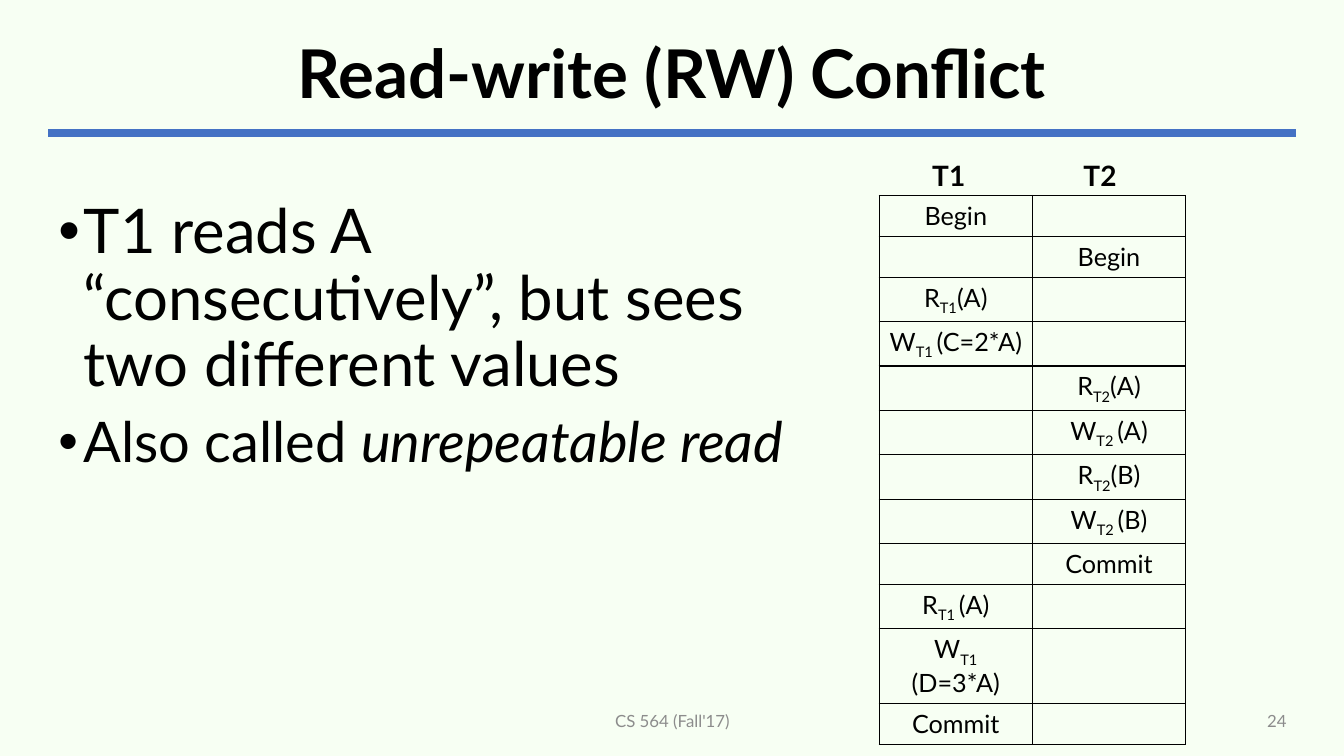
from dataclasses import dataclass

from lxml import etree
from pptx import Presentation
from pptx.dml.color import RGBColor
from pptx.enum.shapes import MSO_CONNECTOR
from pptx.enum.text import MSO_ANCHOR, MSO_AUTO_SIZE, PP_ALIGN
from pptx.oxml.ns import qn
from pptx.util import Inches, Pt

LEFT, CENTER, RIGHT = PP_ALIGN.LEFT, PP_ALIGN.CENTER, PP_ALIGN.RIGHT
TOP, MIDDLE = MSO_ANCHOR.TOP, MSO_ANCHOR.MIDDLE
NO_FIT = MSO_AUTO_SIZE.NONE
STRAIGHT = MSO_CONNECTOR.STRAIGHT


@dataclass(frozen=True)
class Theme:
    font: str = "Lato"
    background: str = "F7FFF3"
    text: str = "000000"
    muted: str = "8C8C8C"
    rule: str = "4472C4"
    title_size: int = 48
    lead_size: int = 44
    point_size: int = 40
    head_size: int = 20
    cell_size: int = 18
    footer_size: int = 12


THEME = Theme()

POINTS = [
    (THEME.lead_size, [("T1 reads A “consecutively”, but sees two different values", False)]),
    (THEME.point_size, [("Also called ", False), ("unrepeatable read", True)]),
]
TRANSACTIONS = ["T1", "T2"]
# Each step: transaction column, then text, subscript and argument
SCHEDULE = [
    (0, ["Begin"]),
    (1, ["Begin"]),
    (0, ["R", "T1", "(A)"]),
    (0, ["W", "T1 ", "(C=2*A)"]),
    (1, ["R", "T2", "(A)"]),
    (1, ["W", "T2 ", "(A)"]),
    (1, ["R", "T2", "(B)"]),
    (1, ["W", "T2 ", "(B)"]),
    (1, ["Commit"]),
    (0, ["R", "T1 ", "(A)"]),
    (0, ["W", "T1 ", "(D=3*A)"]),
    (0, ["Commit"]),
]
PLAIN_ROW, SUBSCRIPT_ROW, WRAPPED_ROW = 0.4, 0.44, 0.74
WRAPPED_STEP = 10


def add_text(paragraph, text, size, color=THEME.text, bold=False, italic=False, subscript=False):
    run = paragraph.add_run()
    run.text = text
    font = run.font
    font.name, font.size = THEME.font, Pt(size)
    font.bold, font.italic = bold, italic
    font.color.rgb = RGBColor.from_string(color)
    if subscript:
        run._r.get_or_add_rPr().set("baseline", "-25000")


def place(shape, box):
    shape.left, shape.top, shape.width, shape.height = map(Inches, box)


def prepare_frame(shape, anchor=TOP):
    frame = shape.text_frame
    frame.word_wrap = True
    frame.auto_size = NO_FIT
    frame.vertical_anchor = anchor
    return frame


def add_label(slide, box, text, size, align=CENTER, anchor=TOP, spacing=None, **text_format):
    label = slide.shapes.add_textbox(*map(Inches, box))
    paragraph = prepare_frame(label, anchor).paragraphs[0]
    paragraph.alignment = align
    if spacing:
        paragraph.line_spacing = spacing
    add_text(paragraph, text, size, **text_format)


def add_bullet(paragraph, indent):
    properties = paragraph._p.get_or_add_pPr()
    properties.set("marL", str(Inches(indent)))
    properties.set("indent", str(-Inches(indent)))
    etree.SubElement(properties, qn("a:buFont"), typeface="Arial")
    etree.SubElement(properties, qn("a:buChar"), char="•")


def add_borders(cell, color):
    properties = cell._tc.get_or_add_tcPr()
    for position, side in enumerate(("a:lnL", "a:lnR", "a:lnT", "a:lnB")):
        line = etree.Element(qn(side), w=str(Pt(1)))
        fill = etree.SubElement(line, qn("a:solidFill"))
        etree.SubElement(fill, qn("a:srgbClr"), val=color)
        properties.insert(position, line)


def build_header(slide, box):
    left, top, width, height = box
    title = slide.shapes.title
    place(title, box)
    paragraph = prepare_frame(title, MIDDLE).paragraphs[0]
    paragraph.alignment = CENTER
    paragraph.line_spacing = 0.9
    add_text(paragraph, "Read-write (RW) Conflict", THEME.title_size, bold=True)

    # Rule under the title
    rule_top = Inches(top + height + 0.04)
    rule = slide.shapes.add_connector(
        STRAIGHT, Inches(left), rule_top, Inches(left + width), rule_top)
    rule.line.color.rgb = RGBColor.from_string(THEME.rule)
    rule.line.width = Pt(6)
    etree.SubElement(rule._element.spPr, qn("a:effectLst"))


def build_points(slide, box):
    body = slide.placeholders[1]
    place(body, box)
    frame = prepare_frame(body)
    for index, (size, runs) in enumerate(POINTS):
        paragraph = frame.add_paragraph() if index else frame.paragraphs[0]
        add_bullet(paragraph, 0.25)
        paragraph.alignment = LEFT
        paragraph.line_spacing = 0.9
        paragraph.space_before = Pt(10 if index else 0)
        for text, italic in runs:
            add_text(paragraph, text, size, italic=italic)


def row_height(index, parts):
    if index == WRAPPED_STEP:
        return WRAPPED_ROW
    return SUBSCRIPT_ROW if len(parts) > 1 else PLAIN_ROW


def build_schedule(slide, left, top, width):
    # Column headings
    column_width = width / len(TRANSACTIONS)
    for column, name in enumerate(TRANSACTIONS):
        add_label(slide, (left + 0.25 + column * 1.5, top - 0.67, 0.88, 0.67), name,
                  THEME.head_size, spacing=Pt(42), bold=True)

    # Steps of both transactions
    heights = [row_height(index, parts) for index, (_, parts) in enumerate(SCHEDULE)]
    table = slide.shapes.add_table(
        len(SCHEDULE), len(TRANSACTIONS),
        *map(Inches, (left, top, width, sum(heights)))).table
    table.first_row = table.horz_banding = False
    for column in table.columns:
        column.width = Inches(column_width)
    for row, height in zip(table.rows, heights):
        row.height = Inches(height)
    for cell in table.iter_cells():
        cell.fill.background()
        add_borders(cell, THEME.text)
    for row, (column, parts) in enumerate(SCHEDULE):
        paragraph = table.cell(row, column).text_frame.paragraphs[0]
        paragraph.alignment = CENTER
        for index, part in enumerate(parts):
            add_text(paragraph, part, THEME.cell_size, subscript=index == 1)


def build_footer(slide, top, height):
    add_label(slide, (4.42, top, 4.5, height), "CS 564 (Fall'17)", THEME.footer_size,
              anchor=MIDDLE, color=THEME.muted)
    add_label(slide, (9.42, top, 3.44, height), "24", THEME.footer_size,
              align=RIGHT, anchor=MIDDLE, color=THEME.muted)


def main():
    presentation = Presentation()
    presentation.slide_width, presentation.slide_height = Inches(13.33), Inches(7.5)
    slide = presentation.slides.add_slide(presentation.slide_layouts[1])
    background = slide.background.fill
    background.solid()
    background.fore_color.rgb = RGBColor.from_string(THEME.background)

    build_header(slide, (0.48, 0.24, 12.37, 1.04))
    build_points(slide, (0.48, 1.94, 7.43, 4.59))
    build_footer(slide, 6.95, 0.4)
    build_schedule(slide, 8.72, 1.94, 3.04)
    presentation.save("out.pptx")


if __name__ == "__main__":
    main()
